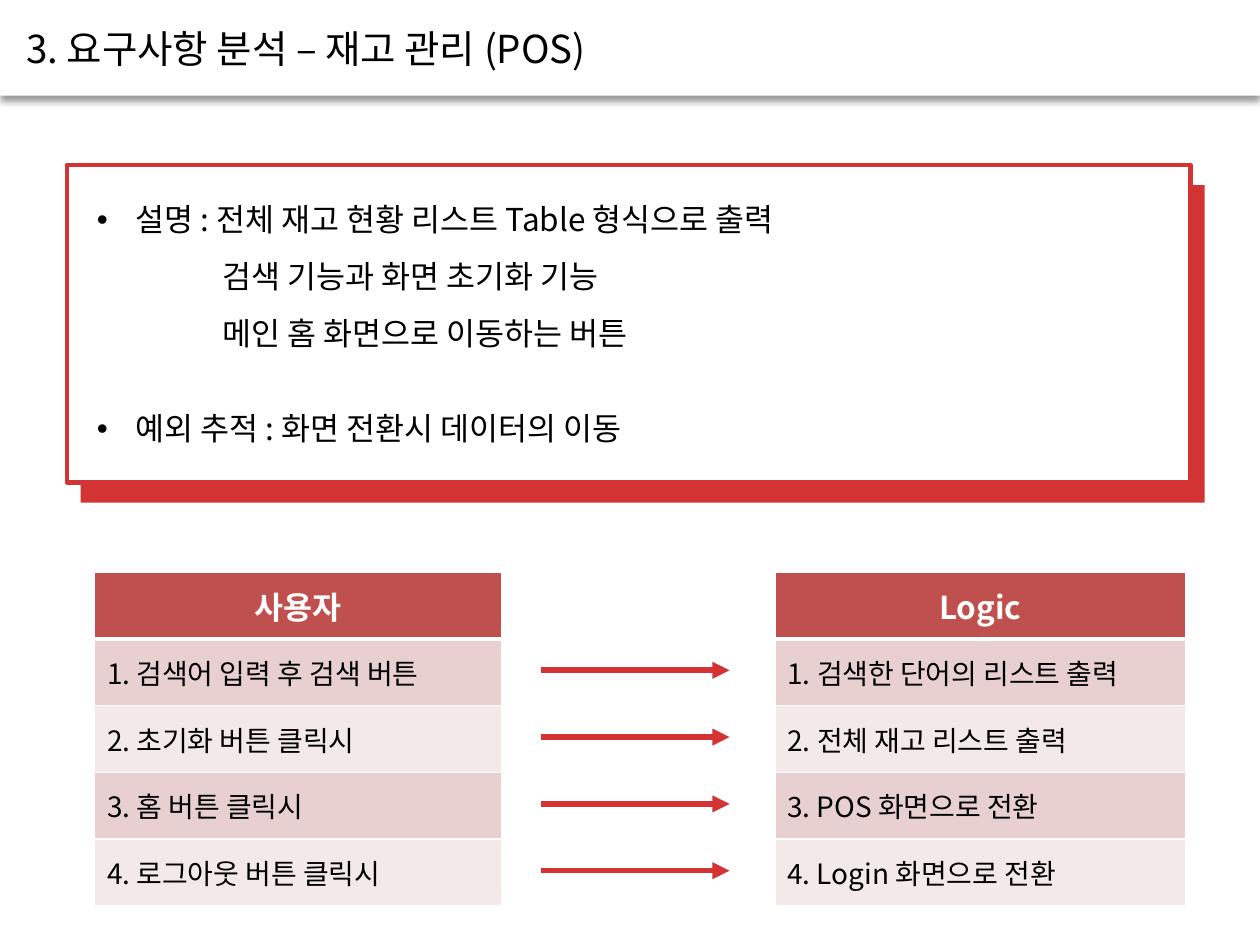
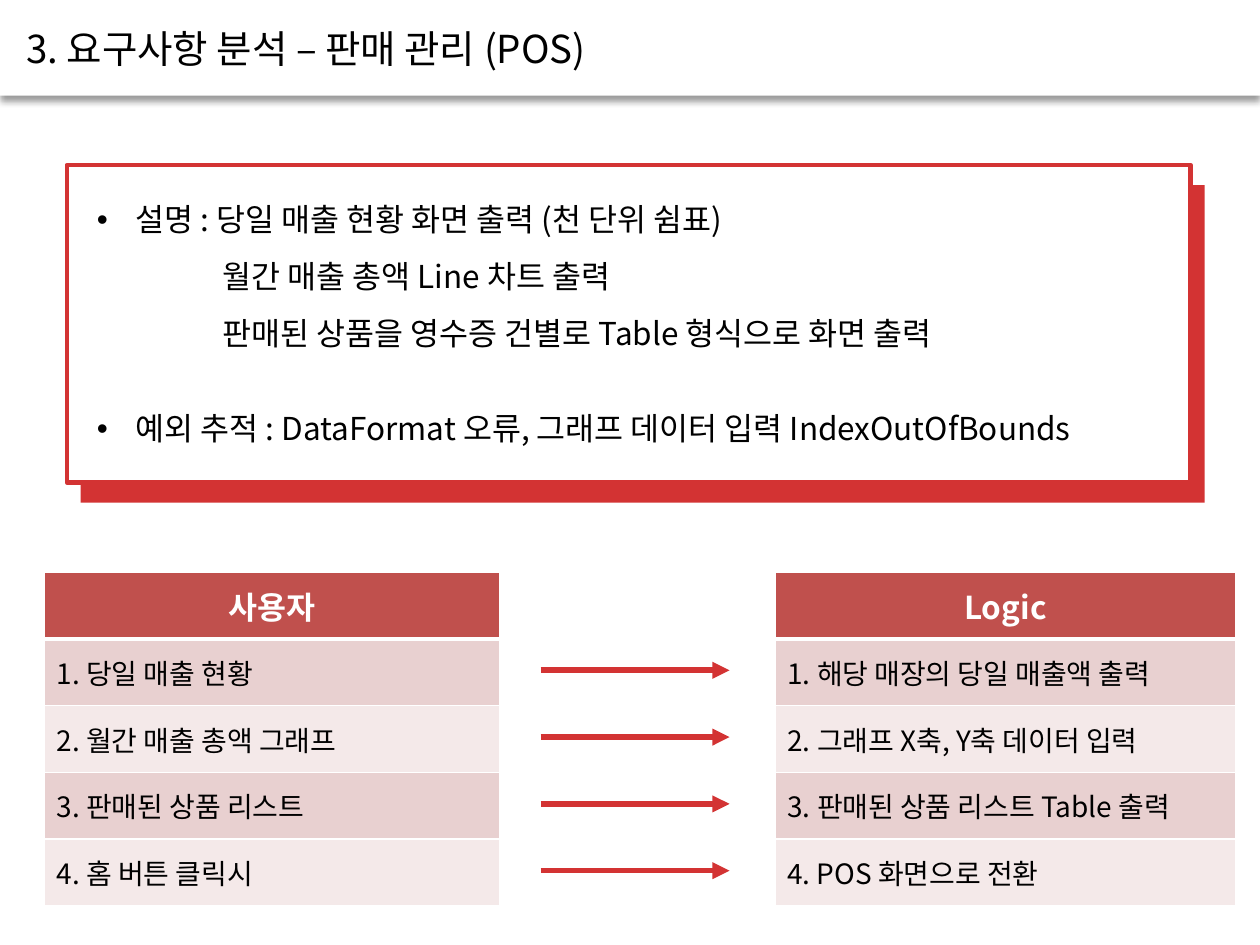
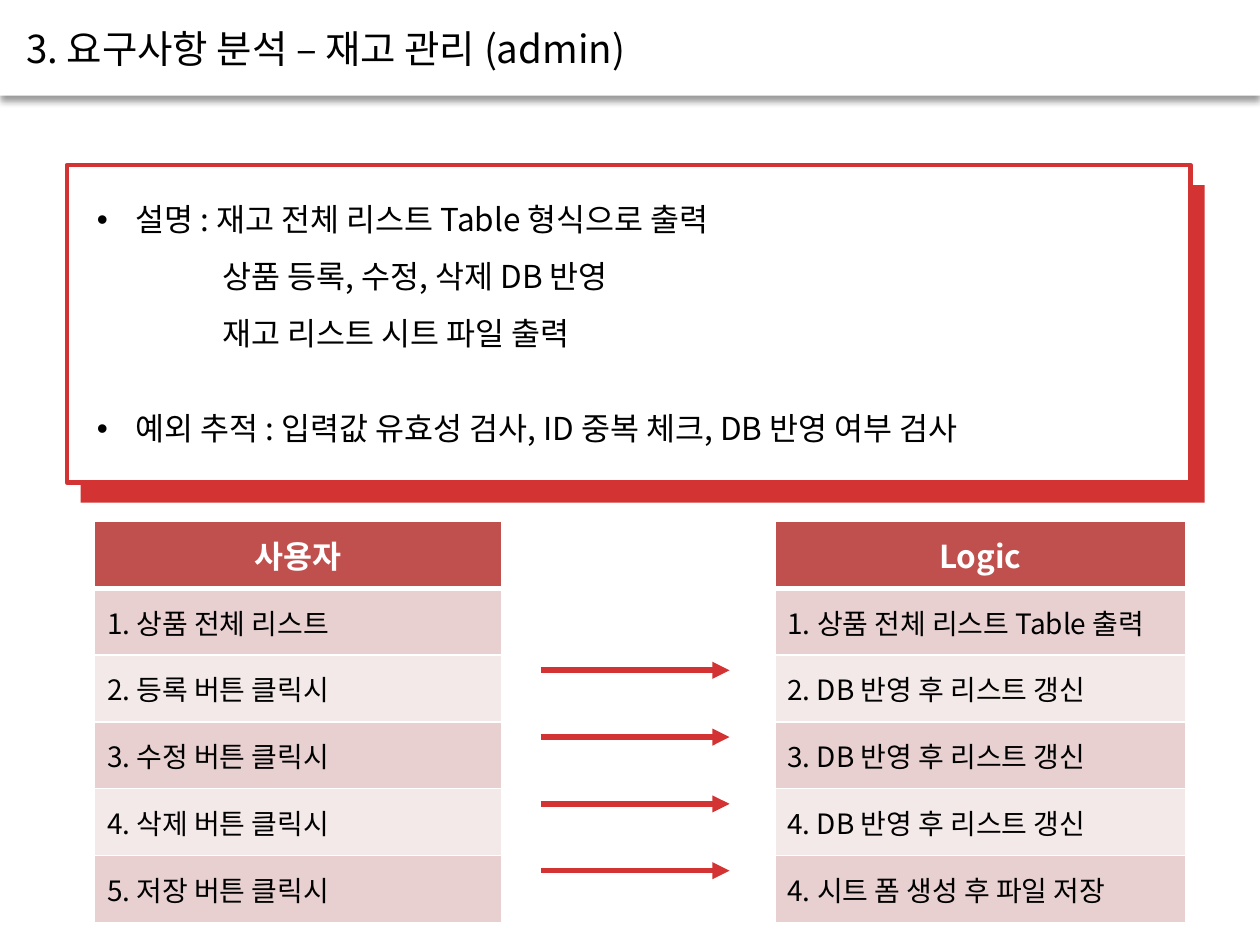
from dataclasses import dataclass

from lxml import etree
from pptx import Presentation
from pptx.dml.color import RGBColor
from pptx.enum import shapes, text
from pptx.oxml import ns
from pptx.util import Inches, Pt


@dataclass(frozen=True)
class Theme:
    """Colours, font and type sizes of the deck."""
    font: str = "Noto Sans CJK KR"
    red: str = "D33333"
    head: str = "C0504D"
    bands: tuple = ("E8D0D0", "F4E9E9")
    white: str = "FFFFFF"
    black: str = "000000"
    title: int = 22
    body: int = 18
    cell: int = 16


@dataclass(frozen=True)
class Page:
    """Words and measures of one slide."""
    title: str
    notes: tuple
    fault: str
    width: float
    users: tuple
    logic: tuple
    spans: tuple = ((0.75, 3.23), (6.15, 3.26))
    top: float = 4.54


T = Theme()
ROW = 0.53
HANG = 0.31
TAB = 1

PAGES = (
    Page(
        "3. 요구사항 분석 – 재고 관리 (POS)",
        ("설명 : 전체 재고 현황 리스트 Table 형식으로 출력",
         "검색 기능과 화면 초기화 기능",
         "메인 홈 화면으로 이동하는 버튼"),
        "예외 추적 : 화면 전환시 데이터의 이동", 6.61,
        ("1. 검색어 입력 후 검색 버튼", "2. 초기화 버튼 클릭시",
         "3. 홈 버튼 클릭시", "4. 로그아웃 버튼 클릭시"),
        ("1. 검색한 단어의 리스트 출력", "2. 전체 재고 리스트 출력",
         "3. POS 화면으로 전환", "4. Login 화면으로 전환"),
    ),
    Page(
        "3. 요구사항 분석 – 판매 관리 (POS)",
        ("설명 : 당일 매출 현황 화면 출력 (천 단위 쉼표)",
         "월간 매출 총액 Line 차트 출력",
         "판매된 상품을 영수증 건별로 Table 형식으로 화면 출력"),
        "예외 추적 : DataFormat 오류, 그래프 데이터 입력 IndexOutOfBounds", 8.58,
        ("1. 당일 매출 현황", "2. 월간 매출 총액 그래프",
         "3. 판매된 상품 리스트", "4. 홈 버튼 클릭시"),
        ("1. 해당 매장의 당일 매출액 출력", "2. 그래프 X축, Y축 데이터 입력",
         "3. 판매된 상품 리스트 Table 출력", "4. POS 화면으로 전환"),
        spans=((0.35, 3.62), (6.15, 3.66)),
    ),
    Page(
        "3. 요구사항 분석 – 재고 관리 (admin)",
        ("설명 : 재고 전체 리스트 Table 형식으로 출력",
         "상품 등록, 수정, 삭제 DB 반영",
         "재고 리스트 시트 파일 출력"),
        "예외 추적 : 입력값 유효성 검사, ID 중복 체크, DB 반영 여부 검사", 8.35,
        ("1. 상품 전체 리스트", "2. 등록 버튼 클릭시", "3. 수정 버튼 클릭시",
         "4. 삭제 버튼 클릭시", "5. 저장 버튼 클릭시"),
        ("1. 상품 전체 리스트 Table 출력", "2. DB 반영 후 리스트 갱신",
         "3. DB 반영 후 리스트 갱신", "4. DB 반영 후 리스트 갱신",
         "4. 시트 폼 생성 후 파일 저장"),
        top=4.14,
    ),
)


def rgb(code):
    """Turn a hex code into a colour."""
    return RGBColor.from_string(code)


def sub(node, tag, **attrs):
    """Add a drawing element with the given attributes."""
    child = etree.SubElement(node, ns.qn(f"a:{tag}"))
    for key, value in attrs.items():
        child.set(key, str(value))
    return child


def write(frame, words, size=T.body, color=T.black, bold=False,
          align=None, space=None, left=0, bullet=False, more=False):
    """Write one paragraph, in a new one if more is set."""
    para = frame.add_paragraph() if more else frame.paragraphs[0]
    para.alignment = align
    para.line_spacing = space
    props = para._p.get_or_add_pPr()
    if left:
        props.set("marL", str(Inches(left)))
    if bullet:
        props.set("indent", str(-Inches(left)))
        sub(props, "buFont", typeface="Arial")
        sub(props, "buChar", char="•")
    run = para.add_run()
    run.text = words
    font = run.font
    font.name, font.size, font.bold = T.font, Pt(size), bold
    font.color.rgb = rgb(color)
    sub(run._r.get_or_add_rPr(), "ea", typeface=T.font)


def frame(slide, x, y, w, h):
    """Add a wrapping text box and return its frame."""
    box = slide.shapes.add_textbox(*map(Inches, (x, y, w, h))).text_frame
    box.word_wrap = True
    box.auto_size = text.MSO_AUTO_SIZE.SHAPE_TO_FIT_TEXT
    return box


def block(slide, x, y, w, h, fill, line=None):
    """Add a plain rectangle."""
    rect = slide.shapes.add_shape(shapes.MSO_SHAPE.RECTANGLE,
                                  *map(Inches, (x, y, w, h)))
    rect.shadow.inherit = False
    rect.fill.solid()
    rect.fill.fore_color.rgb = rgb(fill)
    if line:
        rect.line.color.rgb = rgb(line)
        rect.line.width = Pt(2.5)
    else:
        rect.line.fill.background()
    return rect


def header(slide, words, x=0, y=0, w=10, h=0.76):
    """Draw the title band with its soft shadow."""
    band = block(slide, x, y, w, h, T.white)
    glow = sub(band._element.spPr.find(ns.qn("a:effectLst")), "outerShdw",
               blurRad=Pt(4), dist=Pt(3), dir=90 * 60000, algn="t",
               rotWithShape=0)
    sub(sub(glow, "srgbClr", val=T.black), "alpha", val=40000)
    write(frame(slide, x + 0.11, y + 0.15, 5.92, 0.47), words, T.title)


def panel(slide, page, x=0.53, y=1.31, w=8.92, h=2.52):
    """Draw the framed notes on their red backing."""
    block(slide, x + 0.11, y + 0.16, w, h, T.red)
    block(slide, x, y, w, h, T.white, T.red)
    notes = frame(slide, x + 0.14, y + 0.08, w - 0.14, 1.46)
    for i, words in enumerate(page.notes):
        write(notes, words, space=1.5, left=TAB if i else HANG,
              bullet=not i, more=i > 0)
    fault = frame(slide, x + 0.14, y + 1.89, page.width, 0.4)
    write(fault, page.fault, left=HANG, bullet=True)


def border(cell, top, bottom):
    """Give a cell white borders."""
    props = cell._tc.get_or_add_tcPr()
    for side, width in zip("LRTB", (1, 1, top, bottom)):
        line = sub(props, f"ln{side}", w=Pt(width))
        sub(sub(line, "solidFill"), "srgbClr", val=T.white)


def grid(slide, head, items, x, y, w):
    """Draw a one-column table with a head row and banded rows."""
    rows = (head, *items)
    area = map(Inches, (x, y, w, ROW * len(rows)))
    table = slide.shapes.add_table(len(rows), 1, *area).table
    for i, words in enumerate(rows):
        table.rows[i].height = Inches(ROW)
        cell = table.cell(i, 0)
        border(cell, 3 if i == 1 else 1, 1 if i else 3)
        cell.fill.solid()
        cell.fill.fore_color.rgb = rgb(T.bands[(i - 1) % 2] if i else T.head)
        cell.vertical_anchor = text.MSO_ANCHOR.MIDDLE
        if i:
            write(cell.text_frame, words, T.cell)
        else:
            write(cell.text_frame, words, color=T.white, bold=True,
                  align=text.PP_ALIGN.CENTER)


def arrows(slide, x=4.29, y=5.32, w=1.5, count=4):
    """Draw the evenly spaced arrows between the tables."""
    for i in range(count):
        level = y + i * ROW
        line = slide.shapes.add_connector(
            shapes.MSO_CONNECTOR.STRAIGHT,
            *map(Inches, (x, level, x + w, level)))
        line.line.color.rgb = rgb(T.red)
        line.line.width = Pt(3.25)
        sub(line.line._get_or_add_ln(), "tailEnd", type="triangle")
        sub(line._element.spPr, "effectLst")


def build(slide, page):
    """Fill one slide."""
    header(slide, page.title)
    panel(slide, page)
    parts = (("사용자", page.users), ("Logic", page.logic))
    for (head, items), (x, w) in zip(parts, page.spans):
        grid(slide, head, items, x, page.top, w)
    arrows(slide)


def main():
    """Build and save the deck."""
    deck = Presentation()
    deck.slide_width, deck.slide_height = Inches(10), Inches(7.5)
    for page in PAGES:
        build(deck.slides.add_slide(deck.slide_layouts[6]), page)
    deck.save("out.pptx")


if __name__ == "__main__":
    main()
